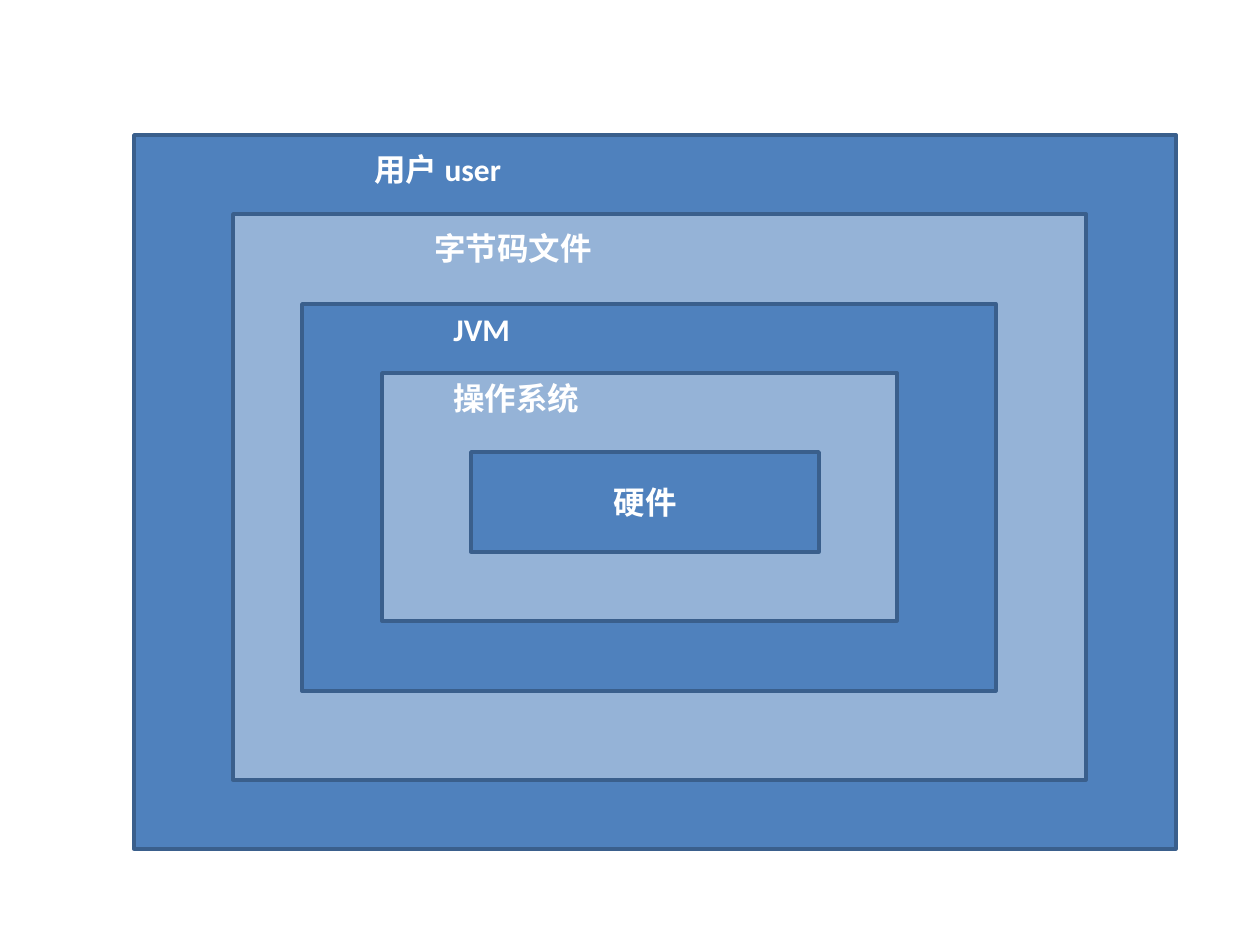
"""Build a slide of nested layers, from the user down to the hardware."""
from dataclasses import dataclass

from pptx import Presentation
from pptx import util as u
from pptx.dml.color import RGBColor
from pptx.enum import shapes, text

EMU_PER_PX = 914400 / 126


@dataclass(frozen=True)
class Theme:
    """Colours and type of the slide."""
    dark: str = "4F81BD"
    light: str = "95B3D7"
    outline: str = "3A5F8C"
    label: str = "FFFFFF"
    font: str = "Calibri"
    size: int = 18
    line_width: int = 2


THEME = Theme()

LAYERS = [
    (134, 135, 1042, 714),
    (233, 214, 853, 566),
    (302, 304, 694, 387),
    (382, 373, 515, 248),
    (471, 452, 348, 100),
]

LABELS = [
    ("操作系统", (441, 373, 377, 50)),
    ("JVM", (441, 304, 407, 50)),
    ("字节码文件", (422, 223, 456, 50)),
    ("用户 user", (362, 144, 297, 50)),
]


def px(length):
    """Turn a length in px into EMU."""
    return u.Emu(round(length * EMU_PER_PX))


def write(shape, wording, alignment):
    """Set the wording of a shape in the label style."""
    shape.text_frame.text = wording
    paragraph = shape.text_frame.paragraphs[0]
    paragraph.alignment = alignment
    for run in paragraph.runs:
        run.font.name = THEME.font
        run.font.size = u.Pt(THEME.size)
        run.font.bold = True
        run.font.color.rgb = RGBColor.from_string(THEME.label)


def add_layer(slide, box, fill):
    """Add one outlined rectangle and return it."""
    shape = slide.shapes.add_shape(shapes.MSO_SHAPE.RECTANGLE, *map(px, box))
    shape.shadow.inherit = False
    shape.fill.solid()
    shape.fill.fore_color.rgb = RGBColor.from_string(fill)
    shape.line.color.rgb = RGBColor.from_string(THEME.outline)
    shape.line.width = u.Pt(THEME.line_width)
    return shape


def add_label(slide, wording, box):
    """Add one left-aligned layer name."""
    shape = slide.shapes.add_textbox(*map(px, box))
    shape.text_frame.word_wrap = True
    shape.text_frame.auto_size = text.MSO_AUTO_SIZE.SHAPE_TO_FIT_TEXT
    write(shape, wording, text.PP_ALIGN.LEFT)


def main():
    """Build and save the presentation."""
    presentation = Presentation()
    presentation.slide_width, presentation.slide_height = px(1260), px(945)
    slide = presentation.slides.add_slide(presentation.slide_layouts[6])
    fills = (THEME.dark, THEME.light)
    layers = [add_layer(slide, box, fills[depth % 2]) for depth, box in enumerate(LAYERS)]
    hardware = layers[-1]
    hardware.text_frame.vertical_anchor = text.MSO_ANCHOR.MIDDLE
    write(hardware, "硬件", text.PP_ALIGN.CENTER)
    for wording, box in LABELS:
        add_label(slide, wording, box)
    presentation.save("out.pptx")


if __name__ == "__main__":
    main()
